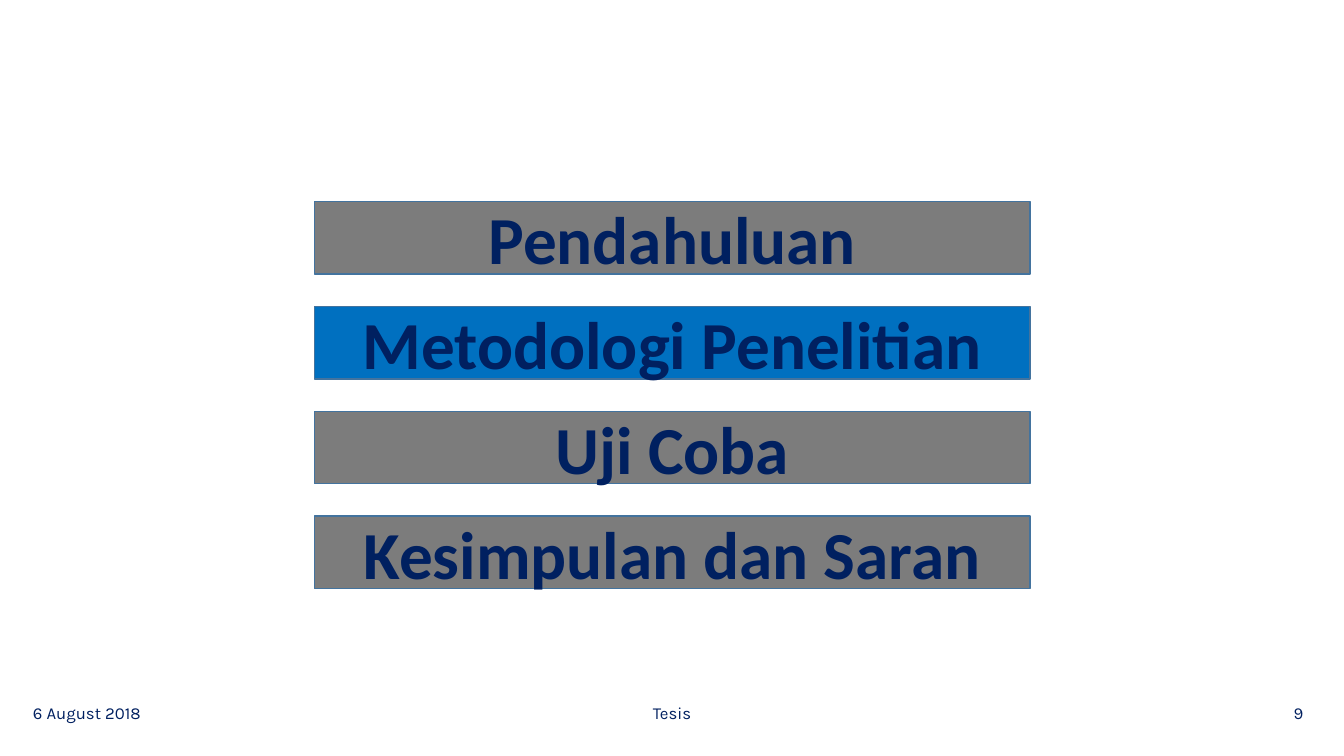
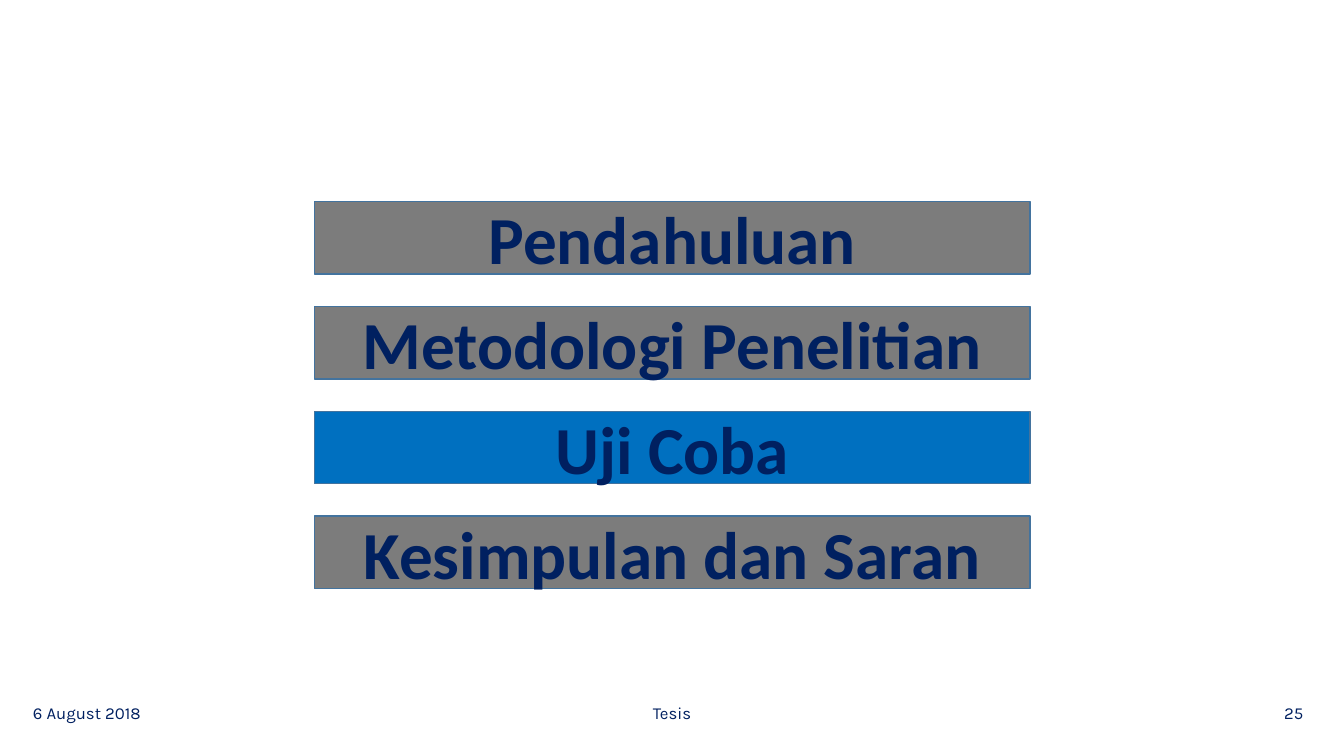
"""Build the two section slides of a thesis presentation."""
from pptx import Presentation
from pptx.dml.color import RGBColor
from pptx.enum import shapes, text
from pptx.util import Pt

NAVY, GREY, BLUE, EDGE = "002060", "7C7C7C", "0070C0", "43739E"
SECTIONS = ["Pendahuluan", "Metodologi Penelitian", "Uji Coba", "Kesimpulan dan Saran"]
AGENDA_BOX = (224.64, 144, 511.2, 276.48)
BAR_HEIGHT = 51.84
DATE_BOX = (16.5, 491, 150, 36)
FOOTER_BOX = (366, 491.5, 228, 36)
NUMBER_BOX = (900, 491, 38, 36)


def color(value):
    """Return the colour for a hex string."""
    return RGBColor.from_string(value)


def write(shape, content, align, font_name, size, bold=False):
    """Put one vertically centred navy paragraph in a shape."""
    frame = shape.text_frame
    frame.word_wrap = True
    frame.vertical_anchor = text.MSO_ANCHOR.MIDDLE
    para = frame.paragraphs[0]
    para.text = content
    para.alignment = align
    font = para.font
    font.name, font.size, font.bold = font_name, Pt(size), bold
    font.color.rgb = color(NAVY)


def add_bar(page, box, label, fill):
    """Draw one section bar."""
    bar = page.shapes.add_shape(shapes.MSO_SHAPE.RECTANGLE, *map(Pt, box))
    bar.shadow.inherit = False
    bar.fill.solid()
    bar.fill.fore_color.rgb = color(fill)
    bar.line.color.rgb = color(EDGE)
    bar.line.width = Pt(1)
    write(bar, label, text.PP_ALIGN.CENTER, "Calibri", 48, bold=True)


def add_agenda(page, box, current):
    """Spread the section bars evenly over the box and highlight the current one."""
    left, top, width, height = box
    pitch = (height - BAR_HEIGHT) / (len(SECTIONS) - 1)
    for index, label in enumerate(SECTIONS):
        fill = BLUE if label == current else GREY
        add_bar(page, (left, top + index * pitch, width, BAR_HEIGHT), label, fill)


def add_footer(page, number):
    """Place the date, the footer text and the page number."""
    parts = [
        (DATE_BOX, "6 August 2018", text.PP_ALIGN.LEFT),
        (FOOTER_BOX, "Tesis", text.PP_ALIGN.CENTER),
        (NUMBER_BOX, str(number), text.PP_ALIGN.RIGHT),
    ]
    for box, content, align in parts:
        write(page.shapes.add_textbox(*map(Pt, box)), content, align, "Karla", 12)


def add_section_slide(deck, current, number):
    """Add a slide that announces the current section."""
    page = deck.slides.add_slide(deck.slide_layouts[6])
    add_footer(page, number)
    add_agenda(page, AGENDA_BOX, current)


def main():
    """Build and save the deck."""
    deck = Presentation()
    deck.slide_width, deck.slide_height = Pt(960), Pt(540)
    add_section_slide(deck, "Metodologi Penelitian", 9)
    add_section_slide(deck, "Uji Coba", 25)
    deck.save("out.pptx")


if __name__ == "__main__":
    main()
